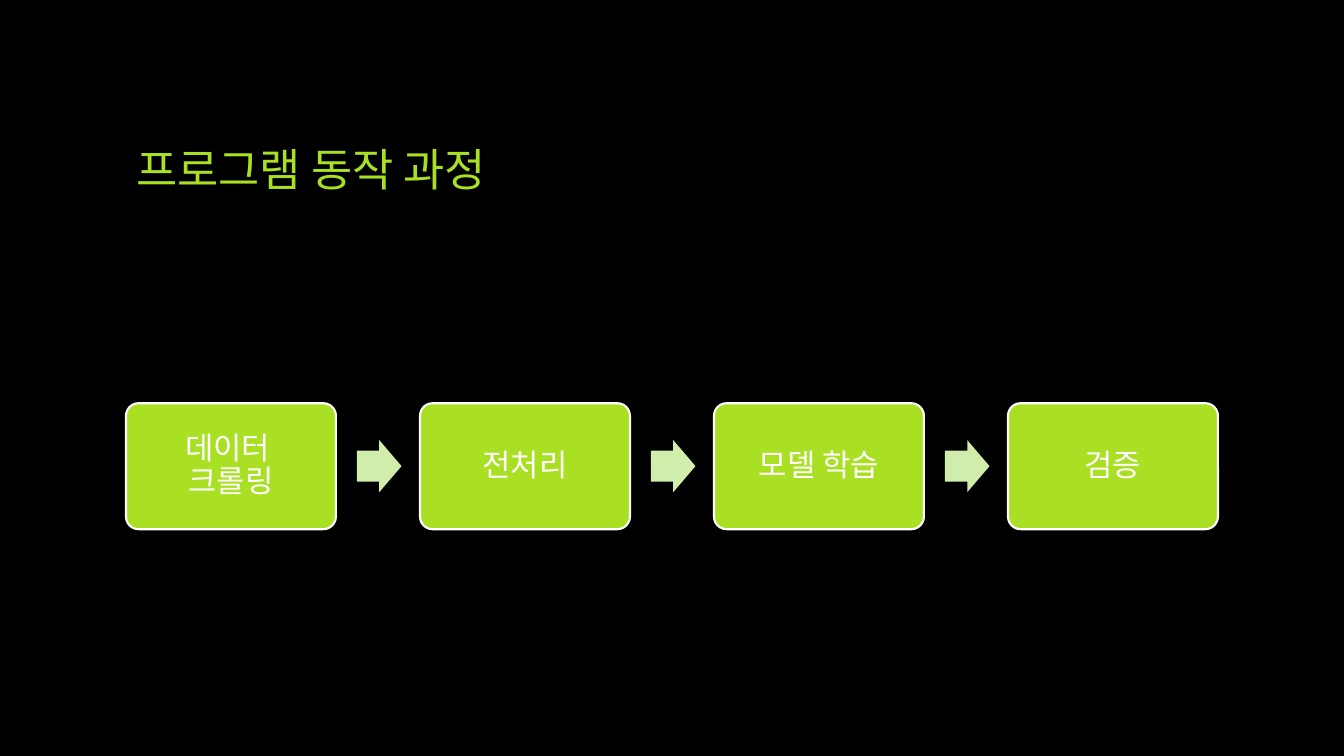
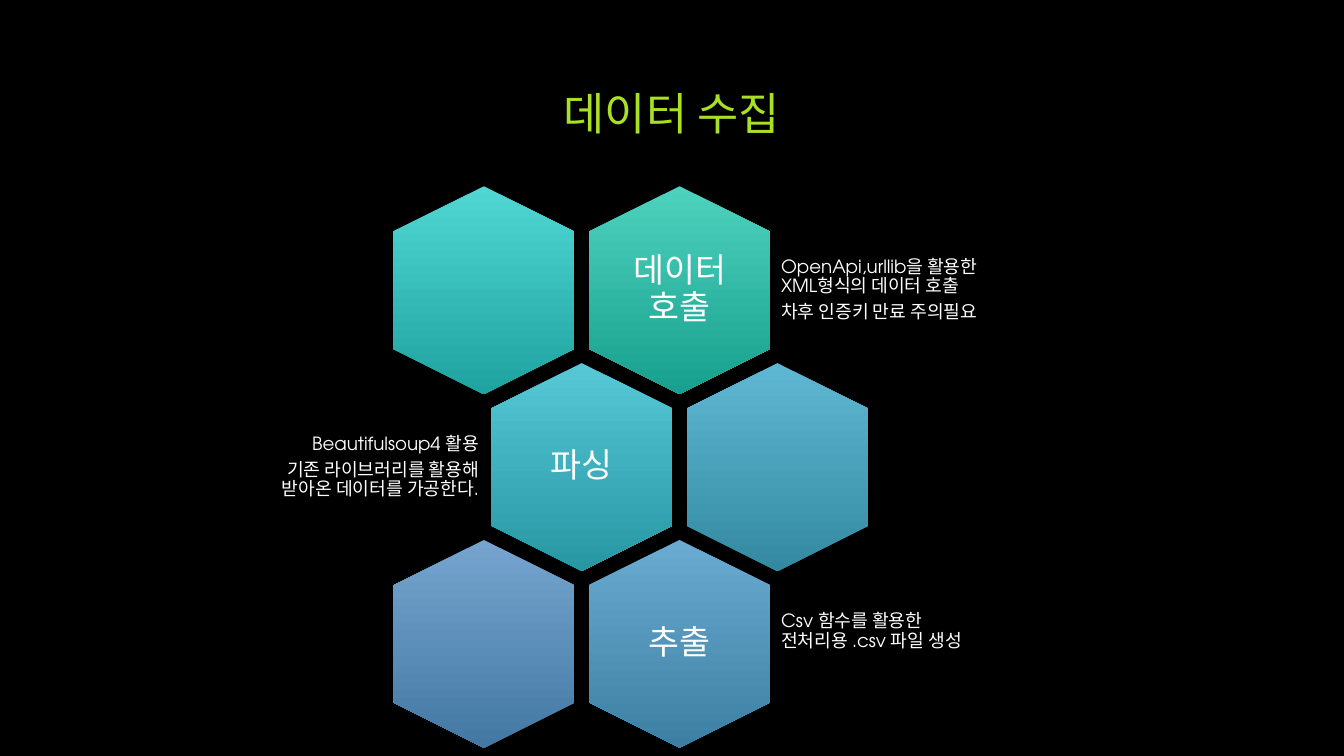
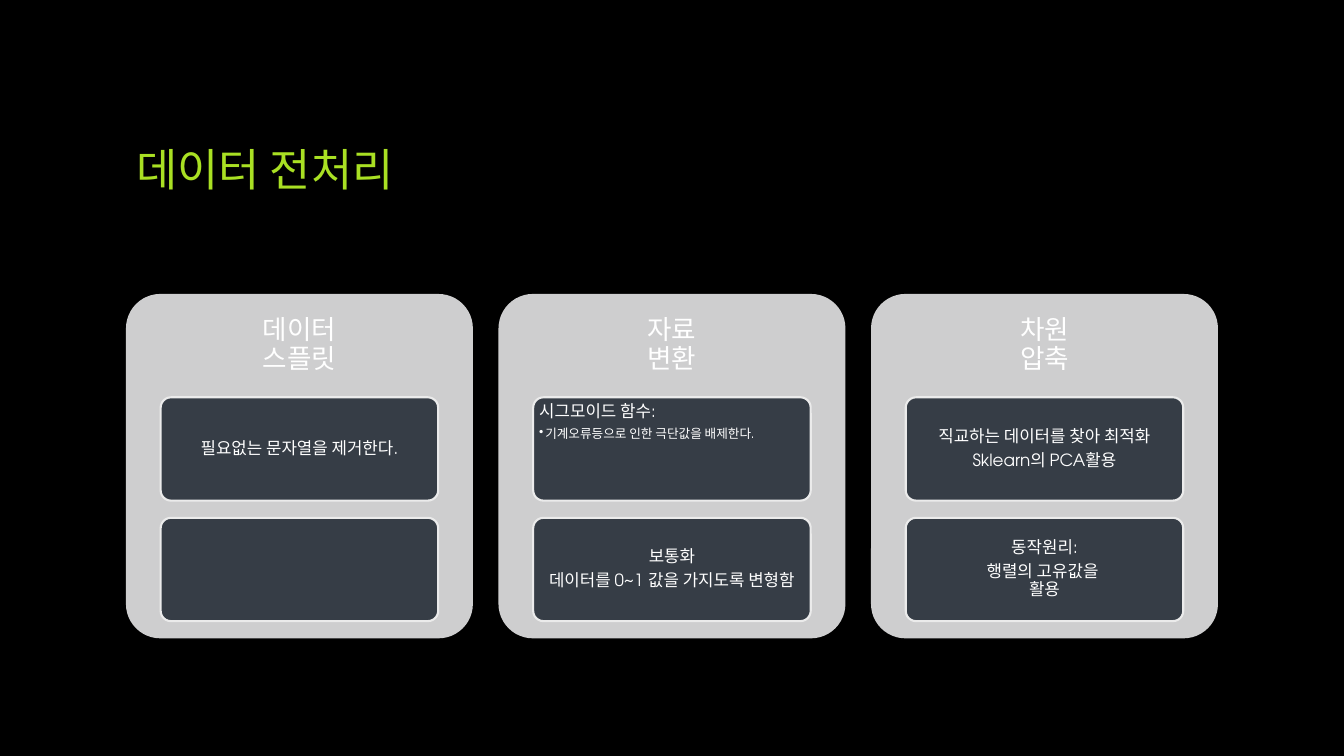
from lxml import etree
from pptx import Presentation
from pptx.dml.color import RGBColor
from pptx.enum.shapes import MSO_SHAPE
from pptx.enum.text import MSO_ANCHOR, PP_ALIGN
from pptx.oxml.ns import qn
from pptx.util import Inches, Pt

BLACK = RGBColor(0x00, 0x00, 0x00)
WHITE = RGBColor(0xFF, 0xFF, 0xFF)
LIME = RGBColor(0xA9, 0xE0, 0x23)
PALE_LIME = RGBColor(0xD1, 0xED, 0xAC)
PANEL = RGBColor(0xCE, 0xCE, 0xCF)
CARD = RGBColor(0x36, 0x3D, 0x46)
CARD_EDGE = RGBColor(0xEB, 0xEB, 0xEB)
AQUA = RGBColor(0x50, 0xD6, 0xD3), RGBColor(0x1E, 0xA3, 0xA1)
GREEN = RGBColor(0x4D, 0xD2, 0xBD), RGBColor(0x18, 0xA0, 0x8E)
TEAL = RGBColor(0x56, 0xC8, 0xD6), RGBColor(0x27, 0x97, 0xA4)
CYAN = RGBColor(0x5F, 0xB8, 0xD3), RGBColor(0x33, 0x89, 0xA1)
STEEL = RGBColor(0x75, 0xA5, 0xCF), RGBColor(0x43, 0x78, 0xA3)
SKY = RGBColor(0x6A, 0xAC, 0xD1), RGBColor(0x3C, 0x7F, 0xA2)

LEFT, CENTER, RIGHT = PP_ALIGN.LEFT, PP_ALIGN.CENTER, PP_ALIGN.RIGHT
TOP, MIDDLE = MSO_ANCHOR.TOP, MSO_ANCHOR.MIDDLE
ROUND, ARROW, HEXAGON = MSO_SHAPE.ROUNDED_RECTANGLE, MSO_SHAPE.RIGHT_ARROW, MSO_SHAPE.HEXAGON

FONT = "TeX Gyre Adventor"
COLS, ROWS = 32, 18
MARGIN = 3


class Deck:
    """Draws styled elements on a 32 by 18 grid of the current slide."""

    def __init__(self):
        self.prs = Presentation()
        self.prs.slide_width, self.prs.slide_height = Inches(13.33), Inches(7.5)
        fill = self.prs.slide_master.background.fill
        fill.solid()
        fill.fore_color.rgb = BLACK

    def grid(self, x, y, w, h):
        col, row = self.prs.slide_width / COLS, self.prs.slide_height / ROWS
        return [round(v) for v in (x * col, y * row, w * col, h * row)]

    def slide(self, title, y=1.6, align=LEFT):
        self.s = self.prs.slides.add_slide(self.prs.slide_layouts[5])
        sp = self.s.shapes.title
        sp.left, sp.top, sp.width, sp.height = self.grid(MARGIN, y, COLS - 2 * MARGIN, 5)
        tf = sp.text_frame
        tf.vertical_anchor = MIDDLE
        self.runs(tf.paragraphs[0], title, 32, LIME, align)

    def runs(self, p, text, size, color=WHITE, align=CENTER, after=0.35):
        p.alignment, p.line_spacing = align, 0.9
        p.space_before, p.space_after = Pt(0), Pt(after * size)
        for i, line in enumerate(text.split("\n")):
            if i:
                p.add_line_break()
            r = p.add_run()
            r.text = line
            r.font.name, r.font.size, r.font.color.rgb = FONT, Pt(size), color

    def fill_text(self, tf, texts, size, inset, align=CENTER, anchor=MIDDLE):
        tf.word_wrap, tf.vertical_anchor = True, anchor
        tf.margin_left = tf.margin_right = tf.margin_top = tf.margin_bottom = Inches(inset)
        for i, text in enumerate(texts):
            p = tf.add_paragraph() if i else tf.paragraphs[0]
            self.runs(p, text, size, align=align)

    def text(self, box, texts, size, inset, align=CENTER):
        tf = self.s.shapes.add_textbox(*self.grid(*box)).text_frame
        self.fill_text(tf, texts, size, inset, align)

    def bullet(self, tf, text, size):
        p = tf.add_paragraph()
        self.runs(p, text, size, align=LEFT, after=0.15)
        pPr = p._p.get_or_add_pPr()
        pPr.set("marL", str(Inches(0.06)))
        pPr.set("indent", str(Inches(-0.06)))
        etree.SubElement(pPr, qn("a:buChar")).set("char", "•")

    def shape(self, kind, box, color=None, edge=None, adj=()):
        sp = self.s.shapes.add_shape(kind, *self.grid(*box))
        sp.shadow.inherit = False
        for i, value in enumerate(adj):
            sp.adjustments[i] = value
        if color is not None:
            sp.fill.solid()
            sp.fill.fore_color.rgb = color
        if edge is None:
            sp.line.fill.background()
        else:
            sp.line.color.rgb, sp.line.width = edge, Pt(1.5)
        return sp

    def rounded(self, box, color, edge=None):
        return self.shape(ROUND, box, color, edge, [0.1])

    def hexagon(self, cx, cy, colors, label=None):
        w, h = 4.95, 4.31
        sp = self.shape(HEXAGON, (cx - w / 2, cy - h / 2, w, h))
        sp.rotation = 90
        sp.fill.gradient()
        sp.fill.gradient_angle = 270
        for stop, color in zip(sp.fill.gradient_stops, colors):
            stop.color.rgb = color
        sp._element.spPr.find(qn("a:gradFill")).set("rotWithShape", "0")
        if label:
            self.text((cx - 1.49, cy - 1.7, 2.98, 3.4), [label], 24, 0.1)


deck = Deck()

deck.slide("프로그램 동작 과정")
steps = ["데이터 \n크롤링", "전처리", "모델 학습", "검증"]
for i, step in enumerate(steps):
    x = MARGIN + 7 * i
    if i:
        deck.shape(ARROW, (x - 1.5, 10.48, 1.06, 1.24), PALE_LIME, adj=[0.6, 0.5])
    sp = deck.rounded((x, 9.6, 5, 3), LIME, WHITE)
    deck.fill_text(sp.text_frame, [step], 22, 0.09)

deck.slide("데이터 수집", y=0.26, align=CENTER)
HEX_X, HEX_Y, HALF_STEP, ROW_STEP = 11.52, 6.91, 2.33, 4.21
cells = [
    (0, 0, AQUA, None),
    (2, 0, GREEN, "데이터 호출"),
    (1, 1, TEAL, "파싱"),
    (3, 1, CYAN, None),
    (0, 2, STEEL, None),
    (2, 2, SKY, "추출"),
]
for col, row, colors, label in cells:
    deck.hexagon(HEX_X + HALF_STEP * col, HEX_Y + ROW_STEP * row, colors, label)

NOTE_H = 2.98
notes = [
    (18.48, 5.52, 0, LEFT, ["OpenApi,urllib을 활용한 XML형식의 데이터 호출", "차후 인증키 만료 주의필요"]),
    (6.17, 5.35, 1, RIGHT, ["Beautifulsoup4 활용", "기존 라이브러리를 활용해 받아온 데이터를 가공한다."]),
    (18.48, 5.52, 1.93, LEFT, ["Csv 함수를 활용한 \n전처리용 .csv 파일 생성"]),
]
for x, w, row, align, texts in notes:
    y = HEX_Y + ROW_STEP * row - NOTE_H / 2
    deck.text((x, y, w, NOTE_H), texts, 13, 0.05, align)

deck.slide("데이터 전처리")
PANEL_Y, PANEL_W, PANEL_H, PANEL_STEP = 7, 8.26, 8.2, 8.87
panels = [
    ("데이터\n스플릿", [["필요없는 문자열을 제거한다."], []]),
    ("자료\n변환", [["시그모이드 함수:"], ["보통화", "데이터를 0~1 값을 가지도록 변형함"]]),
    ("차원\n압축", [["직교하는 데이터를 찾아 최적화", "Sklearn의 PCA활용"],
                ["동작원리:", "행렬의 고유값을 \n활용"]]),
]
details = {"시그모이드 함수:": "기계오류등으로 인한 극단값을 배제한다."}
for i, (heading, cards) in enumerate(panels):
    x = MARGIN + PANEL_STEP * i
    deck.rounded((x, PANEL_Y, PANEL_W, PANEL_H), PANEL)
    deck.text((x, PANEL_Y, PANEL_W, 0.3 * PANEL_H), [heading], 19, 0.08)
    for j, texts in enumerate(cards):
        y = PANEL_Y + (0.3 + 0.35 * j) * PANEL_H
        sp = deck.rounded((x + 0.1 * PANEL_W, y, 0.8 * PANEL_W, 0.3 * PANEL_H), CARD, CARD_EDGE)
        detail = details.get(texts[0]) if texts else None
        align, anchor = (LEFT, TOP) if detail else (CENTER, MIDDLE)
        deck.fill_text(sp.text_frame, texts, 12, 0.03, align, anchor)
        if detail:
            deck.bullet(sp.text_frame, detail, 9)

deck.prs.save("out.pptx")
